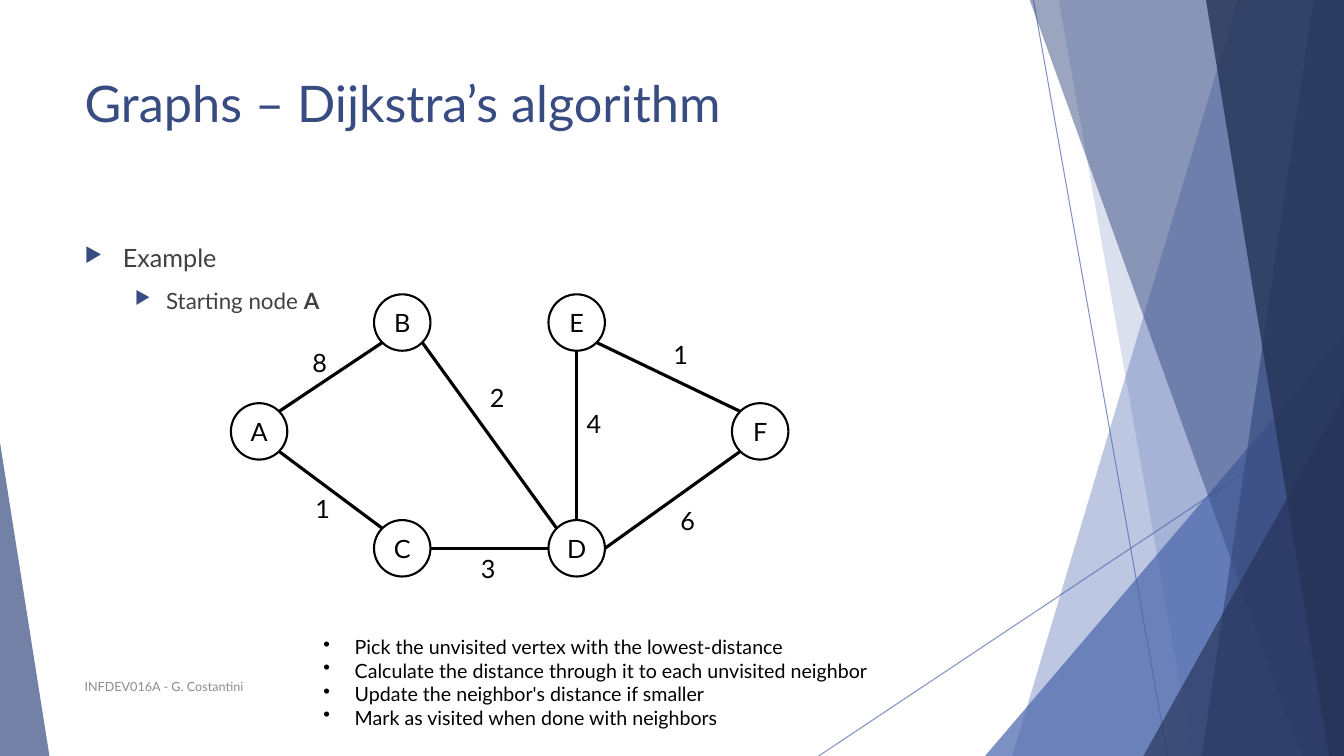
from dataclasses import dataclass

from lxml.etree import SubElement
from pptx import Presentation
from pptx.dml.color import RGBColor
from pptx.enum.shapes import MSO_CONNECTOR, MSO_SHAPE
from pptx.enum.text import MSO_ANCHOR, PP_ALIGN
from pptx.oxml.ns import qn
from pptx.util import Inches, Pt


@dataclass(frozen=True)
class Theme:
    font: str = "Lato"
    blue: str = "4A66AC"
    navy: str = "384C81"
    midnight: str = "253356"
    text: str = "404040"
    muted: str = "8C8C8C"
    black: str = "000000"
    white: str = "FFFFFF"
    title_size: int = 36
    body_size: int = 18
    detail_size: int = 16
    step_size: int = 14
    footer_size: int = 9


theme = Theme()


def add_line_of_text(frame, text, size=theme.body_size, color=theme.black, bold_tail="",
                     align=PP_ALIGN.LEFT, before=0, bullet="", bullet_color="",
                     bullet_percent=100, left=0, hanging=0):
    """Fill the frame's empty first paragraph, or append one; bold_tail follows text in bold."""
    para = frame.paragraphs[0] if not frame.text else frame.add_paragraph()
    para.alignment = align
    para.space_before = Pt(before)
    for words, bold in ((text, False), (bold_tail, True)):
        if words:
            span = para.add_run()
            span.text = words
            span.font.name = theme.font
            span.font.size = Pt(size)
            span.font.bold = bold
            span.font.color.rgb = RGBColor.from_string(color)
    if bullet:
        properties = para._p.get_or_add_pPr()
        properties.set("marL", str(Inches(left)))
        properties.set("indent", str(-Inches(hanging)))
        if bullet_color:
            SubElement(SubElement(properties, qn("a:buClr")), qn("a:srgbClr"), val=bullet_color)
        SubElement(properties, qn("a:buSzPct"), val=str(bullet_percent * 1000))
        SubElement(properties, qn("a:buChar"), char=bullet)


def set_opacity(shape, percent):
    color = shape._element.spPr.find(".//" + qn("a:srgbClr"))
    SubElement(color, qn("a:alpha"), val=str(percent * 1000))


deck = Presentation()
deck.slide_width, deck.slide_height = Inches(13.33), Inches(7.5)
page = deck.slides.add_slide(deck.slide_layouts[6])
shapes = page.shapes

# Lines: start, end, colour, width, opacity
accent_lines = [
    ((10.25, 0), (11.58, 7.5), theme.blue, 0.75, 70),
    ((13.33, 4.03), (8.12, 7.5), theme.blue, 0.75, 70),
]

# Bands run to the right edge: top-left x, bottom-left x, colour, opacity
# Triangles: left, top, width, apex position, colour, opacity
decorations = [
    ("band", (12.28, 10.04), theme.blue, 36),
    ("band", (10.5, 11.83), theme.blue, 20),
    ("triangle", (9.77, 3.33, 3.56, 1), theme.blue, 72),
    ("band", (10.21, 12.91), theme.navy, 50),
    ("band", (13.03, 11.92), theme.navy, 70),
    ("band", (11.96, 13.18), theme.midnight, 80),
    ("triangle", (11.34, 3.93, 1.99, 1), theme.midnight, 66),
    ("triangle", (0, 4.39, 0.49, 0), theme.navy, 70),
]

# Graph: node centres, then edges with the direction in which they leave each node
radius = 0.28
nodes = {"A": (2.57, 4.28), "B": (3.99, 3.2), "C": (3.99, 5.44),
         "D": (5.72, 5.44), "E": (5.72, 3.2), "F": (7.54, 4.28)}
diagonal = 0.71
north, south, west, east = (0, -1), (0, 1), (-1, 0), (1, 0)
northwest, northeast = (-diagonal, -diagonal), (diagonal, -diagonal)
southwest, southeast = (-diagonal, diagonal), (diagonal, diagonal)
# Edges: nodes, directions, weight, weight label's left and top
edges = [
    ("A", northeast, "B", southwest, "8", (3, 3.4)),
    ("A", southeast, "C", northwest, "1", (3.03, 4.84)),
    ("D", north, "E", south, "4", (5.72, 4)),
    ("C", east, "D", west, "3", (4.67, 5.44)),
    ("F", northwest, "E", southeast, "1", (6.58, 3.32)),
    ("D", east, "F", southwest, "6", (6.65, 4.96)),
    ("B", southeast, "D", northwest, "2", (4.76, 3.74)),
]
edge_lines = []
for first, leave, second, arrive, weight, label_at in edges:
    start, end = (
        tuple(centre + radius * step for centre, step in zip(nodes[name], direction))
        for name, direction in ((first, leave), (second, arrive))
    )
    edge_lines.append((start, end, theme.black, 2.25, 100))

# Background decoration, nodes and edges, from back to front
for kind, geometry, color, opacity in [("lines", accent_lines, None, None), *decorations,
                                       ("nodes", nodes, None, None),
                                       ("lines", edge_lines, None, None)]:
    if kind == "lines":
        for start, end, line_color, width, line_opacity in geometry:
            connector = shapes.add_connector(
                MSO_CONNECTOR.STRAIGHT, *(Inches(value) for value in (*start, *end)))
            connector.line.color.rgb = RGBColor.from_string(line_color)
            connector.line.width = Pt(width)
            SubElement(connector._element.spPr, qn("a:effectLst"))
            set_opacity(connector, line_opacity)
    elif kind == "nodes":
        for name, (x, y) in geometry.items():
            circle = shapes.add_shape(MSO_SHAPE.OVAL, Inches(x - radius), Inches(y - radius),
                                      Inches(2 * radius), Inches(2 * radius))
            circle.shadow.inherit = False
            circle.fill.solid()
            circle.fill.fore_color.rgb = RGBColor.from_string(theme.white)
            circle.line.color.rgb = RGBColor.from_string(theme.black)
            circle.line.width = Pt(1.5)
            circle.text_frame.vertical_anchor = MSO_ANCHOR.MIDDLE
            add_line_of_text(circle.text_frame, name, align=PP_ALIGN.CENTER)
    else:
        if kind == "band":
            top_x, bottom_x = geometry
            outline = shapes.build_freeform(Inches(top_x), Inches(-0.01))
            outline.add_line_segments([(Inches(x), Inches(y)) for x, y in (
                (13.33, -0.01), (13.33, 7.5), (bottom_x, 7.5))])
            facet = outline.convert_to_shape()
        else:
            left, top, width, apex = geometry
            facet = shapes.add_shape(MSO_SHAPE.ISOSCELES_TRIANGLE, Inches(left), Inches(top),
                                     Inches(width), Inches(7.5 - top))
            facet.adjustments[0] = apex
        facet.shadow.inherit = False
        facet.fill.solid()
        facet.fill.fore_color.rgb = RGBColor.from_string(color)
        facet.line.fill.background()
        set_opacity(facet, opacity)

# Text boxes: left, top, width, height, anchor, lines of text with their format
arrow = dict(bullet="▶", bullet_color=theme.navy, bullet_percent=80, before=10, color=theme.text)
step = dict(size=theme.step_size, bullet="•", left=0.81, hanging=0.31)
text_boxes = [
    (0.74, 0.67, 9.4, 1.44, MSO_ANCHOR.TOP, [
        ("Graphs – Dijkstra’s algorithm", dict(size=theme.title_size, color=theme.navy))]),
    (0.74, 2.36, 9.4, 4.24, MSO_ANCHOR.TOP, [
        ("Example", dict(arrow, left=0.38, hanging=0.38)),
        ("Starting node ", dict(arrow, size=theme.detail_size, bold_tail="A",
                                left=0.81, hanging=0.31))]),
    (0.74, 6.61, 6.89, 0.4, MSO_ANCHOR.MIDDLE, [
        ("INFDEV016A - G. Costantini", dict(size=theme.footer_size, color=theme.muted))]),
    *((*label_at, 0.28, 0.4, MSO_ANCHOR.TOP, [(weight, {})])
      for *ends, weight, label_at in edges),
    (2.61, 6.25, 6.78, 1.04, MSO_ANCHOR.TOP, [
        ("Pick the unvisited vertex with the lowest-distance", step),
        ("Calculate the distance through it to each unvisited neighbor", step),
        ("Update the neighbor's distance if smaller", step),
        ("Mark as visited when done with neighbors", step)]),
]
for left, top, width, height, anchor, lines in text_boxes:
    box = shapes.add_textbox(Inches(left), Inches(top), Inches(width), Inches(height))
    box.text_frame.word_wrap = True
    box.text_frame.vertical_anchor = anchor
    for text, style in lines:
        add_line_of_text(box.text_frame, text, **style)

deck.save("out.pptx")
